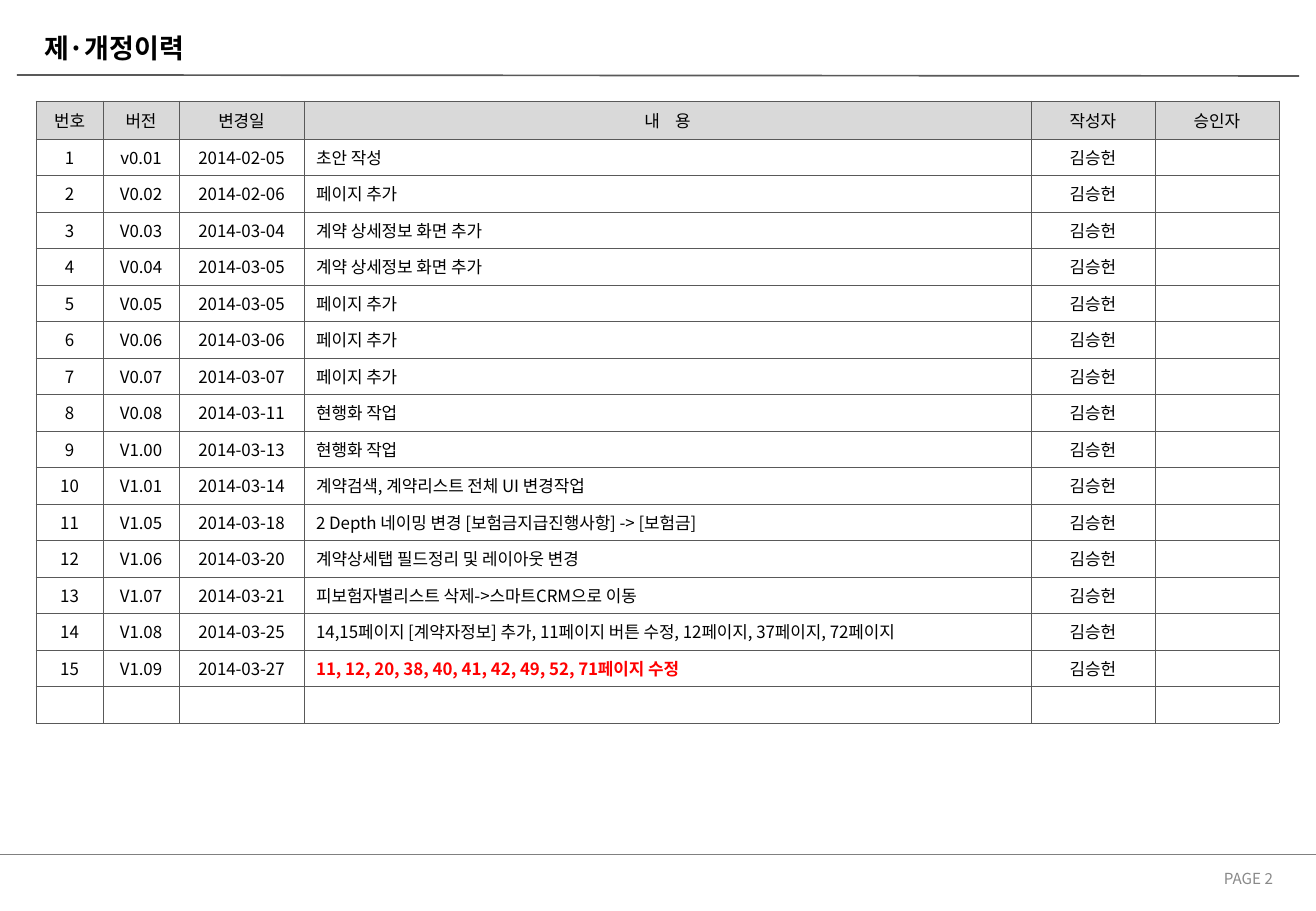
from lxml import etree
from pptx import Presentation
from pptx.dml.color import RGBColor
from pptx.enum.shapes import MSO_CONNECTOR
from pptx.enum.text import MSO_ANCHOR, MSO_AUTO_SIZE, PP_ALIGN
from pptx.oxml.ns import qn
from pptx.util import Emu, Pt

LEFT, CENTER, RIGHT = PP_ALIGN.LEFT, PP_ALIGN.CENTER, PP_ALIGN.RIGHT
MIDDLE = MSO_ANCHOR.MIDDLE
STRAIGHT = MSO_CONNECTOR.STRAIGHT
NO_AUTOFIT = MSO_AUTO_SIZE.NONE

FONT = "Noto Sans CJK KR"
BLACK = RGBColor(0x00, 0x00, 0x00)
WHITE = RGBColor(0xFF, 0xFF, 0xFF)
RED = RGBColor(0xFF, 0x00, 0x00)
DARK_GRAY = RGBColor(0x59, 0x59, 0x59)
MID_GRAY = RGBColor(0x80, 0x80, 0x80)
PAGE_GRAY = RGBColor(0x89, 0x89, 0x89)
HEADER_GRAY = RGBColor(0xD9, 0xD9, 0xD9)

AUTHOR = "김승헌"
HEADERS = ["번호", "버전", "변경일", "내    용", "작성자", "승인자"]
REVISIONS = [
    ("v0.01", "2014-02-05", "초안 작성"),
    ("V0.02", "2014-02-06", "페이지 추가"),
    ("V0.03", "2014-03-04", "계약 상세정보 화면 추가"),
    ("V0.04", "2014-03-05", "계약 상세정보 화면 추가"),
    ("V0.05", "2014-03-05", "페이지 추가"),
    ("V0.06", "2014-03-06", "페이지 추가"),
    ("V0.07", "2014-03-07", "페이지 추가"),
    ("V0.08", "2014-03-11", "현행화 작업"),
    ("V1.00", "2014-03-13", "현행화 작업"),
    ("V1.01", "2014-03-14", "계약검색, 계약리스트 전체 UI 변경작업"),
    ("V1.05", "2014-03-18", "2 Depth 네이밍 변경 [보험금지급진행사항] -> [보험금]"),
    ("V1.06", "2014-03-20", "계약상세탭 필드정리 및 레이아웃 변경"),
    ("V1.07", "2014-03-21", "피보험자별리스트 삭제->스마트CRM으로 이동"),
    ("V1.08", "2014-03-25",
     "14,15페이지 [계약자정보] 추가, 11페이지 버튼 수정, 12페이지, 37페이지, 72페이지"),
    ("V1.09", "2014-03-27", "11, 12, 20, 38, 40, 41, 42, 49, 52, 71페이지 수정"),
]
COLUMN_WIDTHS = [67, 76, 125, 727, 124, 124]
HEADER_HEIGHT, ROW_HEIGHT = 38, 33
CONTENT_COLUMN = 3


def px(length):
    """Turn pixels, 121.5 to the inch, into EMU."""
    return Emu(round(length * 914400 / 121.5))


def write(frame, text, size=10, color=BLACK, bold=False, align=CENTER):
    """Fill a text frame; an empty one still gets its font and size."""
    paragraph = frame.paragraphs[0]
    paragraph.alignment = align
    if text:
        run = paragraph.add_run()
        run.text = text
        run.font.size = Pt(size)
        run.font.bold = bold
        run.font.color.rgb = color
        properties = run.font._element
    else:
        properties = etree.SubElement(
            paragraph._p, qn("a:endParaRPr"), sz=str(size * 100))
    for script in ("a:latin", "a:ea"):
        etree.SubElement(properties, qn(script), typeface=FONT)


presentation = Presentation()
presentation.slide_width, presentation.slide_height = px(1316), px(911)
slide = presentation.slides.add_slide(presentation.slide_layouts[5])

# Rules below the title and above the footer
for x1, y1, x2, y2, color, width in [
    (-1, 854, 1317, 854, MID_GRAY, 0.25),
    (17, 75, 1299, 76, DARK_GRAY, 1),
]:
    rule = slide.shapes.add_connector(STRAIGHT, px(x1), px(y1), px(x2), px(y2))
    rule.line.color.rgb = color
    rule.line.width = Pt(width)
    etree.SubElement(rule._element.spPr, qn("a:effectLst"))

# Title and page number
title = slide.shapes.title
title.left, title.top, title.width, title.height = px(32), px(28), px(996), px(39)
page_number = slide.shapes.add_textbox(px(978), px(864), px(307), px(29))
for shape in (title, page_number):
    shape.text_frame.word_wrap = True
    shape.text_frame.auto_size = NO_AUTOFIT
    shape.text_frame.vertical_anchor = MIDDLE
write(title.text_frame, "제·개정이력", size=16, bold=True, align=LEFT)
write(page_number.text_frame, "PAGE 2", size=9, color=PAGE_GRAY, align=RIGHT)

# Revision history
rows = [HEADERS]
rows += [(str(number), *revision, AUTHOR, "")
         for number, revision in enumerate(REVISIONS, 1)]
rows.append([""] * len(HEADERS))
latest = len(REVISIONS)

table = slide.shapes.add_table(
    len(rows), len(HEADERS), px(36), px(101), px(sum(COLUMN_WIDTHS)),
    px(HEADER_HEIGHT + ROW_HEIGHT * (len(rows) - 1))).table
table.horz_banding = False
table.first_row = False
for column, width in zip(table.columns, COLUMN_WIDTHS):
    column.width = px(width)

for row_index, values in enumerate(rows):
    is_header = row_index == 0
    table.rows[row_index].height = px(HEADER_HEIGHT if is_header else ROW_HEIGHT)
    for column_index, value in enumerate(values):
        cell = table.cell(row_index, column_index)
        cell.vertical_anchor = MIDDLE
        is_content = column_index == CONTENT_COLUMN and not is_header
        is_latest = is_content and row_index == latest
        write(cell.text_frame, value, color=RED if is_latest else BLACK,
              bold=is_latest, align=LEFT if is_content else CENTER)
        cell_properties = cell._tc.get_or_add_tcPr()
        for side in ("a:lnL", "a:lnR", "a:lnT", "a:lnB"):
            border = etree.SubElement(cell_properties, qn(side), w=str(Pt(0.5)))
            border_fill = etree.SubElement(border, qn("a:solidFill"))
            etree.SubElement(border_fill, qn("a:srgbClr"), val=str(DARK_GRAY))
        cell.fill.solid()
        cell.fill.fore_color.rgb = HEADER_GRAY if is_header else WHITE

presentation.save("out.pptx")
